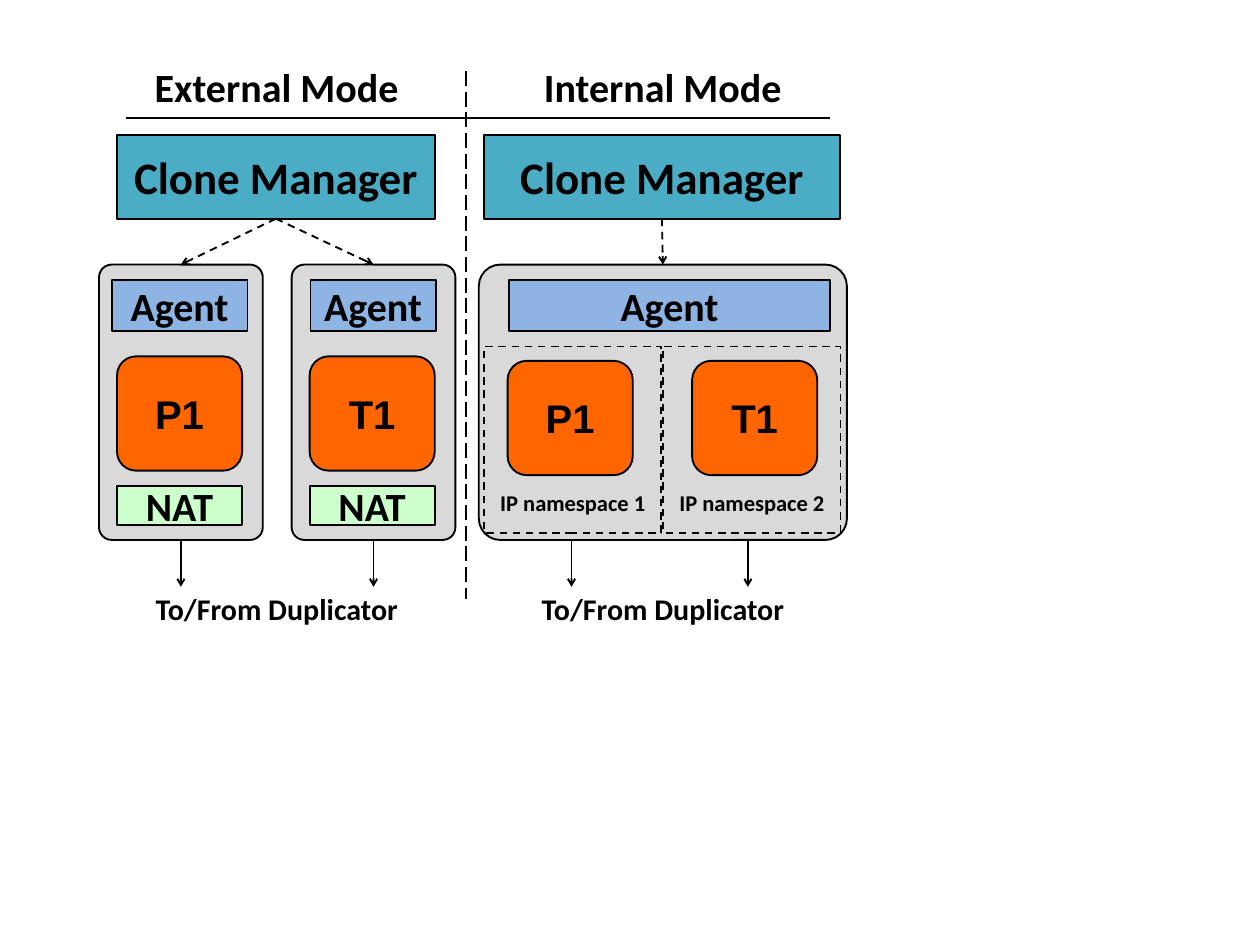
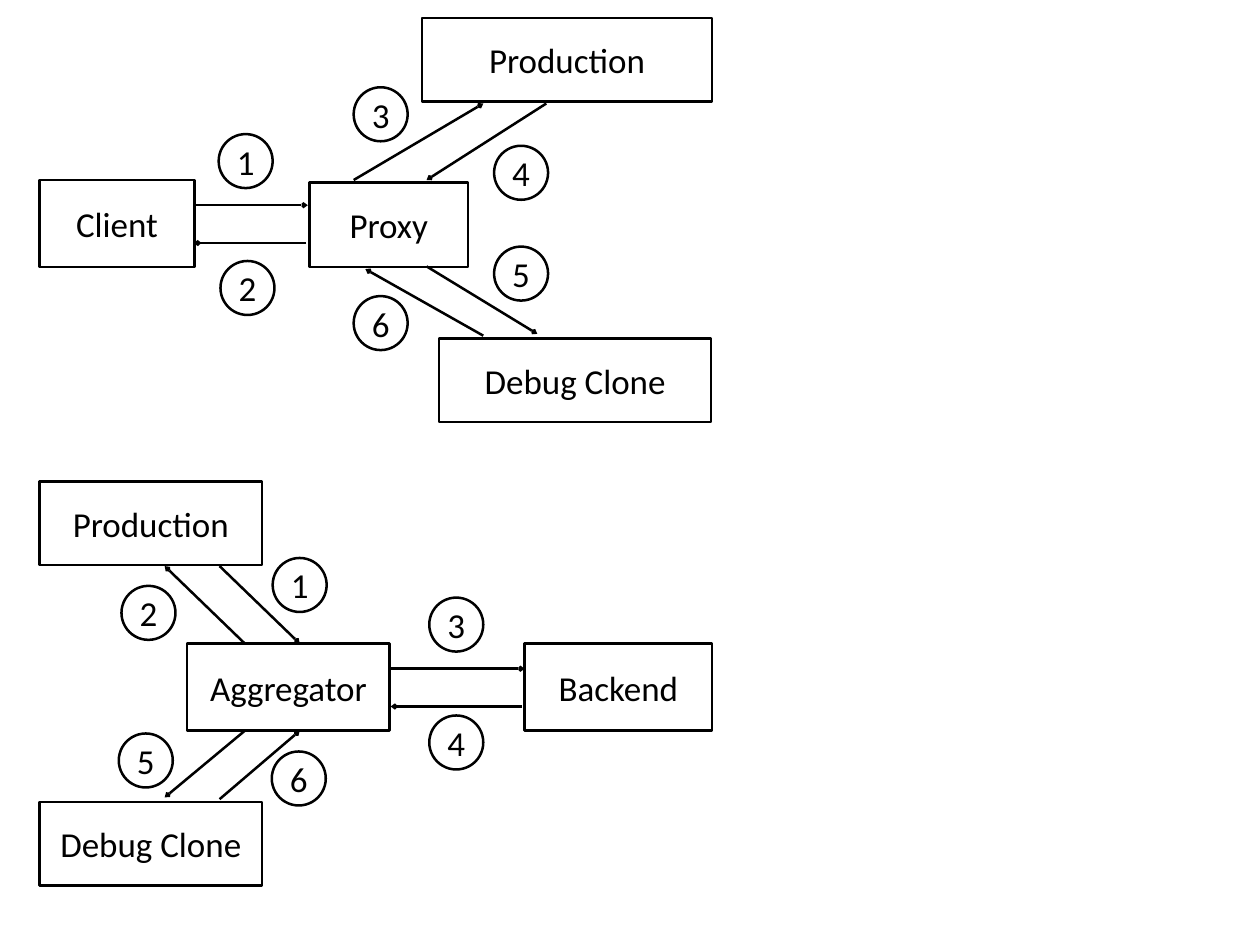
from dataclasses import dataclass
from typing import NamedTuple, Optional

from lxml.etree import SubElement
from pptx import Presentation
from pptx.dml.color import RGBColor
from pptx.enum.dml import MSO_LINE
from pptx.enum.shapes import MSO_CONNECTOR, MSO_SHAPE
from pptx.enum.text import MSO_ANCHOR, MSO_AUTO_SIZE, PP_ALIGN
from pptx.oxml.ns import qn
from pptx.shapes.autoshape import Shape
from pptx.shapes.connector import Connector
from pptx.slide import Slide
from pptx.util import Inches, Pt

TOP, BOTTOM = 0, 2


@dataclass(frozen=True)
class Theme:
    ink: RGBColor = RGBColor(0, 0, 0)
    host: RGBColor = RGBColor(0xD9, 0xD9, 0xD9)
    process: RGBColor = RGBColor(0xFF, 0x66, 0x00)
    nat: RGBColor = RGBColor(0xCC, 0xFF, 0xCC)
    manager: RGBColor = RGBColor(0x4B, 0xAC, 0xC6)
    agent: RGBColor = RGBColor(0x8E, 0xB4, 0xE3)
    body_font: str = "Calibri"
    process_font: str = "Arial"
    manager_size: int = 36
    label_size: int = 32
    flow_size: int = 28
    caption_size: int = 24
    namespace_size: int = 18
    architecture_line: float = 1.5
    flow_line: float = 2


THEME = Theme()


class Area(NamedTuple):
    left: float
    top: float
    width: float
    height: float


class Point(NamedTuple):
    x: float
    y: float


@dataclass(frozen=True)
class BoxStyle:
    geometry: MSO_SHAPE = MSO_SHAPE.RECTANGLE
    fill: Optional[RGBColor] = None
    font: str = THEME.body_font
    size: int = THEME.label_size
    bold: bool = True
    line: float = THEME.architecture_line
    dash: Optional[MSO_LINE] = None
    corner: Optional[float] = None
    anchor: MSO_ANCHOR = MSO_ANCHOR.MIDDLE


@dataclass(frozen=True)
class LineStyle:
    width: float = THEME.architecture_line
    dash: Optional[MSO_LINE] = None
    head_size: Optional[str] = None


HOST = BoxStyle(MSO_SHAPE.ROUNDED_RECTANGLE, THEME.host, corner=0.078)
PROCESS = BoxStyle(MSO_SHAPE.ROUNDED_RECTANGLE, THEME.process, THEME.process_font)
NAT = BoxStyle(fill=THEME.nat)
MANAGER = BoxStyle(fill=THEME.manager, size=THEME.manager_size)
AGENT = BoxStyle(fill=THEME.agent)
NAMESPACE = BoxStyle(size=THEME.namespace_size, dash=MSO_LINE.DASH, anchor=MSO_ANCHOR.BOTTOM)
NODE = BoxStyle(size=THEME.flow_size, bold=False, line=THEME.flow_line)
STEP = BoxStyle(MSO_SHAPE.OVAL, size=THEME.flow_size, bold=False, line=THEME.flow_line)

RULE = LineStyle()
DIVIDER = LineStyle(dash=MSO_LINE.LONG_DASH)
TRAFFIC = LineStyle(head_size="med")
CONTROL = LineStyle(dash=MSO_LINE.DASH, head_size="med")
MESSAGE = LineStyle(width=THEME.flow_line, head_size="sm")


def write(shape: Shape, text: str, font: str, size: int, bold: bool) -> None:
    paragraph = shape.text_frame.paragraphs[0]
    paragraph.text = text
    paragraph.alignment = PP_ALIGN.CENTER
    paragraph.font.name = font
    paragraph.font.size = Pt(size)
    paragraph.font.bold = bold
    paragraph.font.color.rgb = THEME.ink


def draw_box(shapes, style: BoxStyle, area: Area, text: str = "") -> Shape:
    box = shapes.add_shape(style.geometry, *map(Inches, area))
    box.shadow.inherit = False
    if style.fill is None:
        box.fill.background()
    else:
        box.fill.solid()
        box.fill.fore_color.rgb = style.fill
    box.line.color.rgb = THEME.ink
    box.line.width = Pt(style.line)
    if style.dash is not None:
        box.line.dash_style = style.dash
    if style.corner is not None:
        box.adjustments[0] = style.corner
    if text:
        box.text_frame.word_wrap = True
        box.text_frame.vertical_anchor = style.anchor
        write(box, text, style.font, style.size, style.bold)
    return box


def draw_line(shapes, style: LineStyle, start: Point, end: Point) -> Connector:
    line = shapes.add_connector(MSO_CONNECTOR.STRAIGHT, *map(Inches, (*start, *end)))
    line.line.color.rgb = THEME.ink
    line.line.width = Pt(style.width)
    if style.dash is not None:
        line.line.dash_style = style.dash
    properties = line._element.spPr
    if style.head_size:
        SubElement(properties.find(qn("a:ln")), qn("a:tailEnd"),
                   type="arrow", w=style.head_size, len=style.head_size)
    SubElement(properties, qn("a:effectLst"))
    return line


def draw_caption(shapes, area: Area, text: str, size: int) -> Shape:
    caption = shapes.add_textbox(*map(Inches, area))
    caption.text_frame.word_wrap = True
    caption.text_frame.auto_size = MSO_AUTO_SIZE.SHAPE_TO_FIT_TEXT
    write(caption, text, THEME.body_font, size, True)
    return caption


# Clone architecture

HOST_TOP, HOST_BOTTOM, TRAFFIC_END = 2.94, 6.0, 6.52
MANAGER_TOP, MANAGER_HEIGHT = 1.5, 0.93
PROCESS_WIDTH, PROCESS_HEIGHT = 1.39, 1.27


class Mode(NamedTuple):
    title: str
    left: float
    width: float
    manager_left: float
    manager_width: float


class Host(NamedTuple):
    process: str
    left: float
    agent_left: float
    agent_width: float


class Namespace(NamedTuple):
    label: str
    left: float
    process: str
    process_left: float
    traffic_x: float


EXTERNAL = Mode("External Mode", 1.1, 3.95, 1.3, 3.53)
INTERNAL = Mode("Internal Mode", 5.32, 4.09, 5.38, 3.95)
HOST_WIDTH = 1.82
HOSTS = (Host("P1", 1.1, 1.24, 1.51), Host("T1", 3.24, 3.45, 1.39))
NAMESPACES = (
    Namespace("IP namespace 1", 5.38, "P1", 5.64, 6.35),
    Namespace("IP namespace 2", 7.37, "T1", 7.69, 8.31),
)


def draw_manager(shapes, mode: Mode) -> Shape:
    area = Area(mode.manager_left, MANAGER_TOP, mode.manager_width, MANAGER_HEIGHT)
    return draw_box(shapes, MANAGER, area, "Clone Manager")


def draw_host(shapes, left: float, width: float) -> Shape:
    return draw_box(shapes, HOST, Area(left, HOST_TOP, width, HOST_BOTTOM - HOST_TOP))


def draw_agent(shapes, left: float, width: float) -> None:
    draw_box(shapes, AGENT, Area(left, 3.11, width, 0.57), "Agent")


def draw_process(shapes, left: float, top: float, name: str) -> None:
    draw_box(shapes, PROCESS, Area(left, top, PROCESS_WIDTH, PROCESS_HEIGHT), name)


def link_manager(shapes, manager: Shape, mode: Mode, host: Shape, host_x: float) -> None:
    start = Point(mode.manager_left + mode.manager_width / 2, MANAGER_TOP + MANAGER_HEIGHT)
    control = draw_line(shapes, CONTROL, start, Point(host_x, HOST_TOP))
    control.begin_connect(manager, BOTTOM)
    control.end_connect(host, TOP)


def draw_traffic(shapes, x: float) -> Connector:
    return draw_line(shapes, TRAFFIC, Point(x, HOST_BOTTOM), Point(x, TRAFFIC_END))


def draw_duplicator_caption(shapes, mode: Mode) -> None:
    draw_caption(shapes, Area(mode.left, 6.51, mode.width, 0.5),
                 "To/From Duplicator", THEME.caption_size)


def draw_external_mode(slide: Slide) -> None:
    shapes = slide.shapes.add_group_shape().shapes
    manager = draw_manager(shapes, EXTERNAL)
    for spec_host in HOSTS:
        center = spec_host.left + HOST_WIDTH / 2
        inner_left = spec_host.left + 0.2
        host = draw_host(shapes, spec_host.left, HOST_WIDTH)
        draw_process(shapes, inner_left, 3.96, spec_host.process)
        draw_box(shapes, NAT, Area(inner_left, 5.4, PROCESS_WIDTH, 0.43), "NAT")
        draw_agent(shapes, spec_host.agent_left, spec_host.agent_width)
        link_manager(shapes, manager, EXTERNAL, host, center)
        draw_traffic(shapes, center).begin_connect(host, BOTTOM)
    draw_duplicator_caption(shapes, EXTERNAL)


def draw_internal_mode(slide: Slide) -> None:
    shapes = slide.shapes.add_group_shape().shapes
    manager = draw_manager(shapes, INTERNAL)
    host = draw_host(shapes, INTERNAL.left, INTERNAL.width)
    link_manager(shapes, manager, INTERNAL, host, INTERNAL.left + INTERNAL.width / 2)
    draw_agent(shapes, 5.66, 3.56)
    for namespace in NAMESPACES:
        draw_process(shapes, namespace.process_left, 4.01, namespace.process)
        draw_traffic(shapes, namespace.traffic_x)
    draw_duplicator_caption(shapes, INTERNAL)


def draw_architecture(slide: Slide) -> None:
    draw_external_mode(slide)
    draw_internal_mode(slide)
    draw_line(slide.shapes, DIVIDER, Point(5.18, 0.79), Point(5.18, 6.65))
    for mode in (EXTERNAL, INTERNAL):
        title = draw_caption(slide.shapes, Area(mode.left, 0.61, mode.width, 0.69),
                             mode.title, THEME.label_size)
        frame = title.text_frame
        frame.margin_left = frame.margin_right = Inches(0.15)
        frame.margin_top = frame.margin_bottom = Inches(0.08)
    draw_line(slide.shapes, RULE, Point(1.4, 1.31), Point(9.22, 1.31))
    for namespace in NAMESPACES:
        box = draw_box(slide.shapes, NAMESPACE, Area(namespace.left, 3.85, 1.97, 2.07),
                       namespace.label)
        box.text_frame.margin_bottom = Inches(0.19)


# Message flows

STEP_SIZE = 0.6


class Step(NamedTuple):
    """A numbered message: its arrow and the top left corner of its number."""
    start: Point
    end: Point
    badge: Point


PROXY_NODES = {
    "Client": Area(0.44, 2, 1.72, 0.97),
    "Proxy": Area(3.44, 2.03, 1.76, 0.94),
    "Production": Area(4.69, 0.2, 3.22, 0.93),
    "Debug Clone": Area(4.88, 3.76, 3.02, 0.93),
}
PROXY_STEPS = (
    Step(Point(2.17, 2.28), Point(3.42, 2.28), Point(2.43, 1.49)),
    Step(Point(3.4, 2.7), Point(2.15, 2.7), Point(2.45, 2.9)),
    Step(Point(3.93, 2), Point(5.37, 1.15), Point(3.93, 0.97)),
    Step(Point(6.07, 1.15), Point(4.74, 2), Point(5.49, 1.62)),
    Step(Point(4.74, 2.96), Point(5.97, 3.71), Point(5.49, 2.74)),
    Step(Point(5.37, 3.73), Point(4.06, 2.99), Point(3.93, 3.29)),
)
AGGREGATOR_NODES = {
    "Aggregator": Area(2.08, 7.15, 2.25, 0.97),
    "Production": Area(0.44, 5.35, 2.47, 0.93),
    "Debug Clone": Area(0.44, 8.91, 2.47, 0.93),
    "Backend": Area(5.83, 7.15, 2.08, 0.97),
}
AGGREGATOR_STEPS = (
    Step(Point(2.44, 6.29), Point(3.33, 7.15), Point(3.03, 6.2)),
    Step(Point(2.72, 7.15), Point(1.83, 6.29), Point(1.35, 6.51)),
    Step(Point(4.34, 7.43), Point(5.83, 7.43), Point(4.77, 6.64)),
    Step(Point(5.8, 7.85), Point(4.34, 7.85), Point(4.77, 7.95)),
    Step(Point(2.72, 8.12), Point(1.83, 8.86), Point(1.32, 8.15)),
    Step(Point(2.44, 8.88), Point(3.33, 8.12), Point(3.02, 8.35)),
)


def draw_flow(slide: Slide, nodes: dict[str, Area], steps: tuple[Step, ...]) -> None:
    shapes = slide.shapes.add_group_shape().shapes
    for name, area in nodes.items():
        draw_box(shapes, NODE, area, name)
    for number, step in enumerate(steps, start=1):
        draw_line(shapes, MESSAGE, step.start, step.end)
        draw_box(shapes, STEP, Area(*step.badge, STEP_SIZE, STEP_SIZE), str(number))


def main() -> None:
    deck = Presentation()
    deck.slide_width, deck.slide_height = Inches(14), Inches(10.5)
    blank = deck.slide_layouts[6]
    draw_architecture(deck.slides.add_slide(blank))
    flows = deck.slides.add_slide(blank)
    draw_flow(flows, PROXY_NODES, PROXY_STEPS)
    draw_flow(flows, AGGREGATOR_NODES, AGGREGATOR_STEPS)
    deck.save("out.pptx")


if __name__ == "__main__":
    main()
